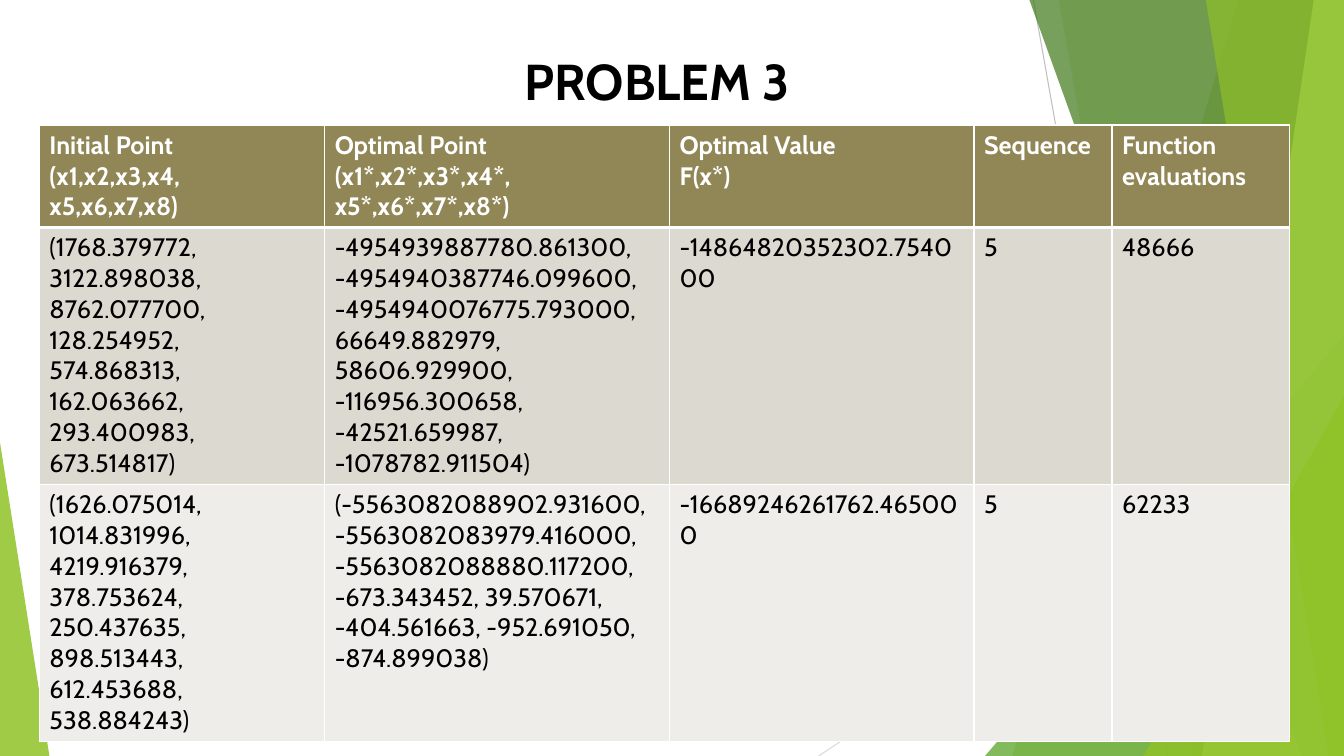
import pptx
import pptx.util
import pptx.dml.color
import pptx.enum.shapes
import pptx.enum.text
import pptx.oxml
import pptx.oxml.ns
from lxml import etree

WIDE, HIGH = 13.33, 7.5
FONT = "Cabin"
TITLE = "PROBLEM 3"
HEAD = [
    "Initial Point\n(x1,x2,x3,x4,\nx5,x6,x7,x8)",
    "Optimal Point\n(x1*,x2*,x3*,x4*,\nx5*,x6*,x7*,x8*)",
    "Optimal Value\nF(x*)",
    "Sequence",
    "Function evaluations",
]
RUNS = [
    ["(1768.379772, 3122.898038, 8762.077700, 128.254952, 574.868313, "
     "162.063662, 293.400983, 673.514817)",
     "-4954939887780.861300, -4954940387746.099600, -4954940076775.793000, "
     "66649.882979, 58606.929900, -116956.300658, -42521.659987, "
     "-1078782.911504)",
     "-14864820352302.754000", "5", "48666"],
    ["(1626.075014, 1014.831996, 4219.916379, 378.753624, 250.437635, "
     "898.513443, 612.453688, 538.884243)",
     "(-5563082088902.931600, -5563082083979.416000, -5563082088880.117200, "
     "-673.343452, 39.570671, -404.561663, -952.691050, -874.899038)",
     "-16689246261762.465000", "5", "62233"],
]
COLS = [2.83, 3.42, 3.02, 1.37, 1.76]
ROWS = [1.0, 2.55, 2.55]
FILLS = ["918655", "DCD9D1", "EEEDE9"]

LINES = [((10.25, 0), (11.58, HIGH), "BFBFBF"),
         ((WIDE, 4.03), (8.12, HIGH), "D9D9D9")]
# Bands run to the right edge: top left x, bottom left x, colour, opacity.
# Wedges: left, top, width, apex side, colour, opacity.
DECOR = [
    ("band", (12.28, 10.04), "90C226", 30),
    ("band", (10.5, 11.83), "90C226", 20),
    ("wedge", (9.77, 3.33, 3.56, 1), "54A021", 72),
    ("band", (10.21, 12.91), "3F7819", 70),
    ("band", (13.03, 11.92), "C0E474", 70),
    ("band", (11.96, 13.18), "90C226", 65),
    ("wedge", (11.34, 3.93, 1.99, 1), "90C226", 80),
    ("wedge", (0, 4.39, 0.49, 0), "90C226", 85),
]

inch = pptx.util.Inches
qn = pptx.oxml.ns.qn


def rgb(code):
    return pptx.dml.color.RGBColor.from_string(code)


def style(frame, size, color, bold):
    for para in frame.paragraphs:
        for run in para.runs:
            font = run.font
            font.name, font.size, font.bold = FONT, pptx.util.Pt(size), bold
            font.color.rgb = rgb(color)


def tint(shape, color, alpha):
    """Fill a shape with a see-through colour and drop its outline."""
    shape.shadow.inherit = False
    shape.line.fill.background()
    shape.fill.solid()
    shape.fill.fore_color.rgb = rgb(color)
    node = shape._element.spPr.find(qn("a:solidFill"))[0]
    etree.SubElement(node, qn("a:alpha"), val=str(alpha * 1000))


def band(shapes, top, low):
    pen = shapes.build_freeform(inch(top), 0)
    pen.add_line_segments([(inch(x), inch(y)) for x, y in
                           [(WIDE, 0), (WIDE, HIGH), (low, HIGH)]])
    return pen.convert_to_shape()


def wedge(shapes, left, top, width, apex):
    kind = pptx.enum.shapes.MSO_SHAPE.ISOSCELES_TRIANGLE
    shape = shapes.add_shape(kind, inch(left), inch(top), inch(width),
                             inch(HIGH - top))
    shape.adjustments[0] = apex
    return shape


def edge(cell, low):
    """Give a cell white borders, the bottom one low points wide."""
    props = cell._tc.get_or_add_tcPr()
    for side, size in zip("LRTB", [1, 1, 1, low]):
        line = etree.SubElement(props, qn("a:ln" + side),
                                w=str(pptx.util.Pt(size)))
        fill = etree.SubElement(line, qn("a:solidFill"))
        etree.SubElement(fill, qn("a:srgbClr"), val="FFFFFF")


def backdrop(shapes):
    for start, end, color in LINES:
        line = shapes.add_connector(
            pptx.enum.shapes.MSO_CONNECTOR.STRAIGHT,
            *[inch(v) for v in start + end])
        line.line.color.rgb = rgb(color)
        line.line.width = pptx.util.Pt(0.75)
        etree.SubElement(line._element.spPr, qn("a:effectLst"))
    for kind, place, color, alpha in DECOR:
        draw = band if kind == "band" else wedge
        tint(draw(shapes, *place), color, alpha)


def heading(title):
    title.left, title.top = inch(5.1), inch(0.45)
    title.width, title.height = inch(3.12), inch(0.71)
    frame = title.text_frame
    frame.text = TITLE
    frame.word_wrap = False
    frame.auto_size = pptx.enum.text.MSO_AUTO_SIZE.NONE
    frame.vertical_anchor = pptx.enum.text.MSO_ANCHOR.TOP
    frame.paragraphs[0].alignment = pptx.enum.text.PP_ALIGN.LEFT
    style(frame, 36, "000000", True)


def results(shapes):
    table = shapes.add_table(len(ROWS), len(COLS), inch(0.39), inch(1.24),
                             inch(sum(COLS)), inch(sum(ROWS))).table
    for col, width in zip(table.columns, COLS):
        col.width = inch(width)
    for r, texts in enumerate([HEAD] + RUNS):
        table.rows[r].height = inch(ROWS[r])
        top = r == 0
        for c, text in enumerate(texts):
            cell = table.cell(r, c)
            cell.text_frame.text = text
            style(cell.text_frame, 18, "FFFFFF" if top else "000000", top)
            edge(cell, 3 if top else 1)
            cell.fill.solid()
            cell.fill.fore_color.rgb = rgb(FILLS[r])


def main():
    deck = pptx.Presentation()
    deck.slide_width, deck.slide_height = inch(WIDE), inch(HIGH)
    slide = deck.slides.add_slide(deck.slide_layouts[5])
    backdrop(slide.shapes)
    heading(slide.shapes.title)
    results(slide.shapes)
    deck.save("out.pptx")


if __name__ == "__main__":
    main()
